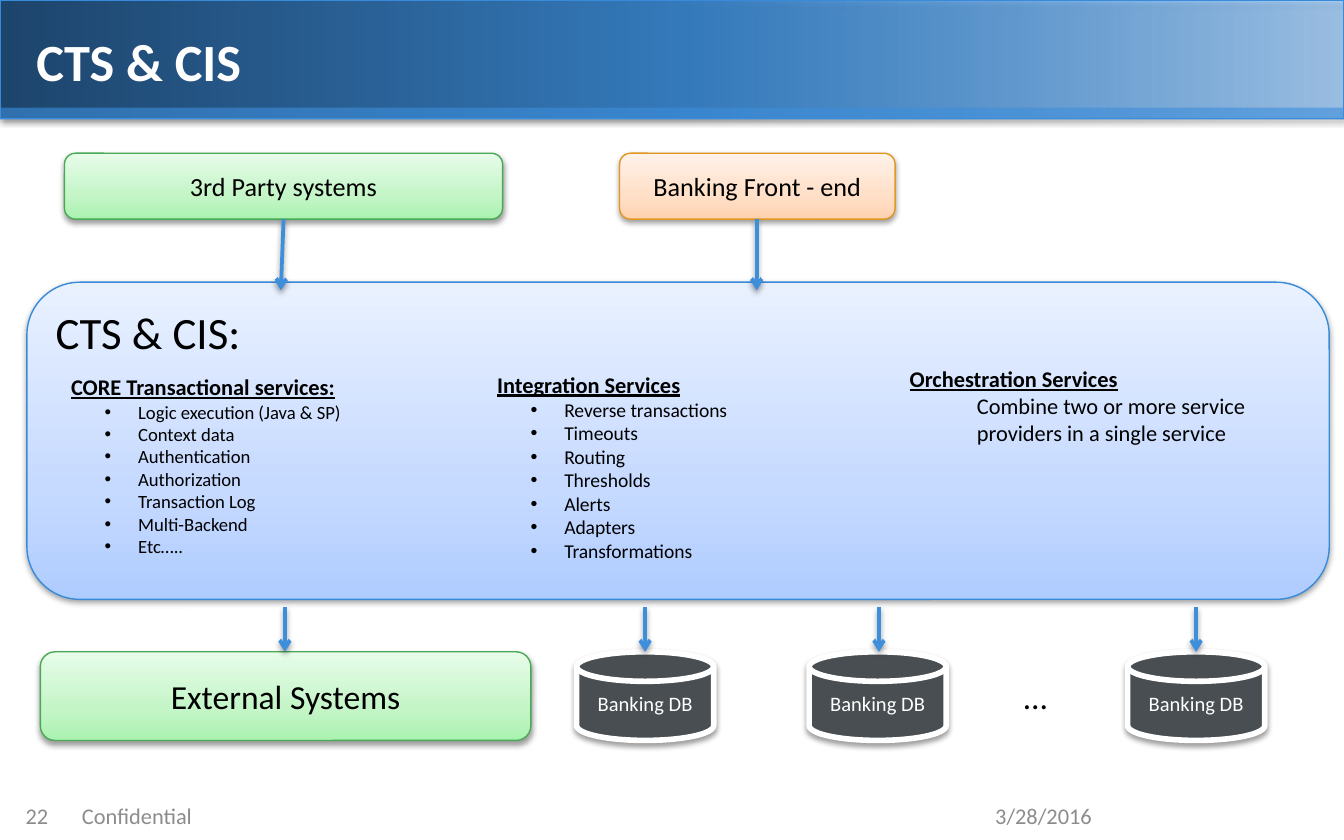
"""Build the CTS & CIS architecture slide."""
from dataclasses import dataclass

from lxml.etree import SubElement
from pptx import Presentation
from pptx.dml.color import RGBColor
from pptx.enum.shapes import MSO_CONNECTOR, MSO_SHAPE
from pptx.enum.text import MSO_ANCHOR, PP_ALIGN
from pptx.oxml.ns import qn
from pptx.util import Inches, Pt


@dataclass(frozen=True)
class Theme:
    font: str = "Calibri"
    black: str = "000000"
    white: str = "FFFFFF"
    footer: str = "8C8C8C"
    blue: str = "3D8EDB"
    blue_edge: str = "388BDA"
    green_edge: str = "49A955"
    orange_edge: str = "E29721"
    database: str = "484E51"
    header: tuple = ((0, "1D446B", 100), (50, "3479BA", 100), (100, "429AF1", 40))
    panel: tuple = ((0, "AFCCFF", 100), (35, "C6DAFF", 100), (100, "E9F1FF", 100))
    green: tuple = ((0, "AAF2B0", 100), (35, "C4F5C7", 100), (100, "E7FCE9", 100))
    orange: tuple = ((0, "FFD2B0", 100), (35, "FFDFC7", 100), (100, "FFF2EA", 100))
    title_size: float = 28
    panel_size: float = 24
    large_size: float = 18
    box_size: float = 14
    heading_size: float = 12
    database_size: float = 11


theme = Theme()


def decorate(shape, edge, width, stops=(), angle=270):
    """Give a shape its gradient, outline and soft shadow."""
    properties = shape._element.spPr
    if stops:
        gradient = SubElement(properties, qn("a:gradFill"), rotWithShape="1")
        stop_list = SubElement(gradient, qn("a:gsLst"))
        for position, color, opacity in stops:
            stop = SubElement(stop_list, qn("a:gs"), pos=str(position * 1000))
            tone = SubElement(stop, qn("a:srgbClr"), val=color)
            if opacity < 100:
                SubElement(tone, qn("a:alpha"), val=str(opacity * 1000))
        SubElement(gradient, qn("a:lin"), ang=str(angle * 60000), scaled="0")
    shape.line.color.rgb = RGBColor.from_string(edge)
    shape.line.width = Pt(width)
    effects = SubElement(properties, qn("a:effectLst"))
    shadow = SubElement(effects, qn("a:outerShdw"), blurRad=str(Pt(3.1)),
                        dist=str(Pt(1.7)), dir="5400000", rotWithShape="0")
    tone = SubElement(shadow, qn("a:srgbClr"), val=theme.black)
    SubElement(tone, qn("a:alpha"), val="38000")


def write(para, text, size, color=theme.black, align=PP_ALIGN.LEFT, bold=False, underline=False):
    """Add one formatted run to a paragraph."""
    para.alignment = align
    span = para.add_run()
    span.text = text
    span.font.name = theme.font
    span.font.size = Pt(size)
    span.font.bold = bold
    span.font.underline = underline
    span.font.color.rgb = RGBColor.from_string(color)


deck = Presentation()
deck.slide_width, deck.slide_height = Inches(10), Inches(6.25)
page = deck.slides.add_slide(deck.slide_layouts[5])
shapes = page.shapes

header = shapes.add_shape(MSO_SHAPE.RECTANGLE, 0, 0, Inches(10), Inches(0.88))
decorate(header, theme.blue_edge, 0.75, theme.header, 0)

strip = shapes.add_shape(MSO_SHAPE.RECTANGLE, 0, Inches(0.8), Inches(10), Inches(0.09))
strip.shadow.inherit = False
strip.fill.solid()
strip.fill.fore_color.rgb = RGBColor.from_string(theme.blue)
strip_color = strip._element.spPr.find(qn("a:solidFill")).find(qn("a:srgbClr"))
SubElement(strip_color, qn("a:alpha"), val="60000")
strip.line.fill.background()

title = shapes.title
title.left, title.top, title.width, title.height = map(Inches, (0.17, 0.14, 6.92, 0.62))
title.text_frame.vertical_anchor = MSO_ANCHOR.MIDDLE
write(title.text_frame.paragraphs[0], "CTS & CIS", theme.title_size, theme.white, bold=True)
shapes._spTree.append(title._element)

panel = shapes.add_shape(MSO_SHAPE.ROUNDED_RECTANGLE, Inches(0.2), Inches(2.1), Inches(9.69), Inches(2.36))
decorate(panel, theme.blue_edge, 0.75, theme.panel)
panel.text_frame.vertical_anchor = MSO_ANCHOR.TOP
write(panel.text_frame.paragraphs[0], "CTS & CIS:", theme.panel_size)

systems = [
    ("3rd Party systems", 0.48, 1.14, 3.26, 0.49, theme.green, theme.green_edge, theme.box_size),
    ("Banking Front - end", 4.61, 1.14, 2.05, 0.49, theme.orange, theme.orange_edge, theme.box_size),
    ("External Systems", 0.3, 4.85, 3.65, 0.66, theme.green, theme.green_edge, theme.large_size),
]
for label, left, top, width, height, stops, edge, size in systems:
    box = shapes.add_shape(MSO_SHAPE.ROUNDED_RECTANGLE, Inches(left), Inches(top), Inches(width), Inches(height))
    decorate(box, edge, 0.75, stops)
    box.text_frame.vertical_anchor = MSO_ANCHOR.MIDDLE
    write(box.text_frame.paragraphs[0], label, size, align=PP_ALIGN.CENTER)

for left in (4.29, 6.02, 8.39):
    database = shapes.add_shape(MSO_SHAPE.FLOWCHART_MAGNETIC_DISK, Inches(left), Inches(4.85), Inches(1.02), Inches(0.66))
    database.fill.solid()
    database.fill.fore_color.rgb = RGBColor.from_string(theme.database)
    decorate(database, theme.white, 3)
    database.text_frame.vertical_anchor = MSO_ANCHOR.MIDDLE
    write(database.text_frame.paragraphs[0], "Banking DB", theme.database_size, theme.white, PP_ALIGN.CENTER)

ellipsis = shapes.add_textbox(Inches(7.52), Inches(4.98), Inches(0.38), Inches(0.4))
ellipsis.text_frame.word_wrap = False
write(ellipsis.text_frame.paragraphs[0], "…", theme.large_size)

arrows = [(2.11, 1.63, 2.09, 2.16), (5.63, 1.63, 5.63, 2.16)]
arrows += [(center, 4.52, center, 4.85) for center in (2.12, 4.8, 6.54, 8.9)]
for ends in arrows:
    arrow = shapes.add_connector(MSO_CONNECTOR.STRAIGHT, *map(Inches, ends))
    decorate(arrow, theme.blue, 2)
    SubElement(arrow.line._get_or_add_ln(), qn("a:tailEnd"), type="arrow")

services = [
    ("CORE Transactional services:", 0.43, 2.73, 2.68, 1.48, 10, True,
     ["Logic execution (Java & SP)", "Context data", "Authentication", "Authorization",
      "Transaction Log", "Multi-Backend", "Etc….."]),
    ("Integration Services", 3.6, 2.71, 3.05, 1.54, 10.5, True,
     ["Reverse transactions", "Timeouts", "Routing", "Thresholds", "Alerts", "Adapters",
      "Transformations"]),
    ("Orchestration Services", 6.67, 2.67, 3.05, 0.71, 12, False,
     ["Combine two or more service providers in a single service"]),
]
for heading, left, top, width, height, size, bulleted, items in services:
    box = shapes.add_textbox(Inches(left), Inches(top), Inches(width), Inches(height))
    box.text_frame.word_wrap = True
    write(box.text_frame.paragraphs[0], heading, theme.heading_size, bold=True, underline=True)
    for item in items:
        para = box.text_frame.add_paragraph()
        para.level = 1
        layout = para._p.get_or_add_pPr()
        layout.set("marL", str(Inches(0.5)))
        layout.set("indent", str(Inches(-0.25 if bulleted else 0)))
        if bulleted:
            SubElement(layout, qn("a:buFont"), typeface="Arial")
            SubElement(layout, qn("a:buChar"), char="•")
        write(para, item, size)

footers = [
    ("22", 0.19, 0.42, PP_ALIGN.LEFT),
    ("Confidential", 0.61, 6.61, PP_ALIGN.LEFT),
    ("3/28/2016", 7.23, 1.07, PP_ALIGN.CENTER),
]
for text, left, width, align in footers:
    box = shapes.add_textbox(Inches(left), Inches(5.9), Inches(width), Inches(0.33))
    frame = box.text_frame
    frame.word_wrap = True
    frame.vertical_anchor = MSO_ANCHOR.MIDDLE
    frame.margin_left = frame.margin_right = frame.margin_top = frame.margin_bottom = 0
    write(frame.paragraphs[0], text, theme.heading_size, theme.footer, align)

deck.save("out.pptx")
